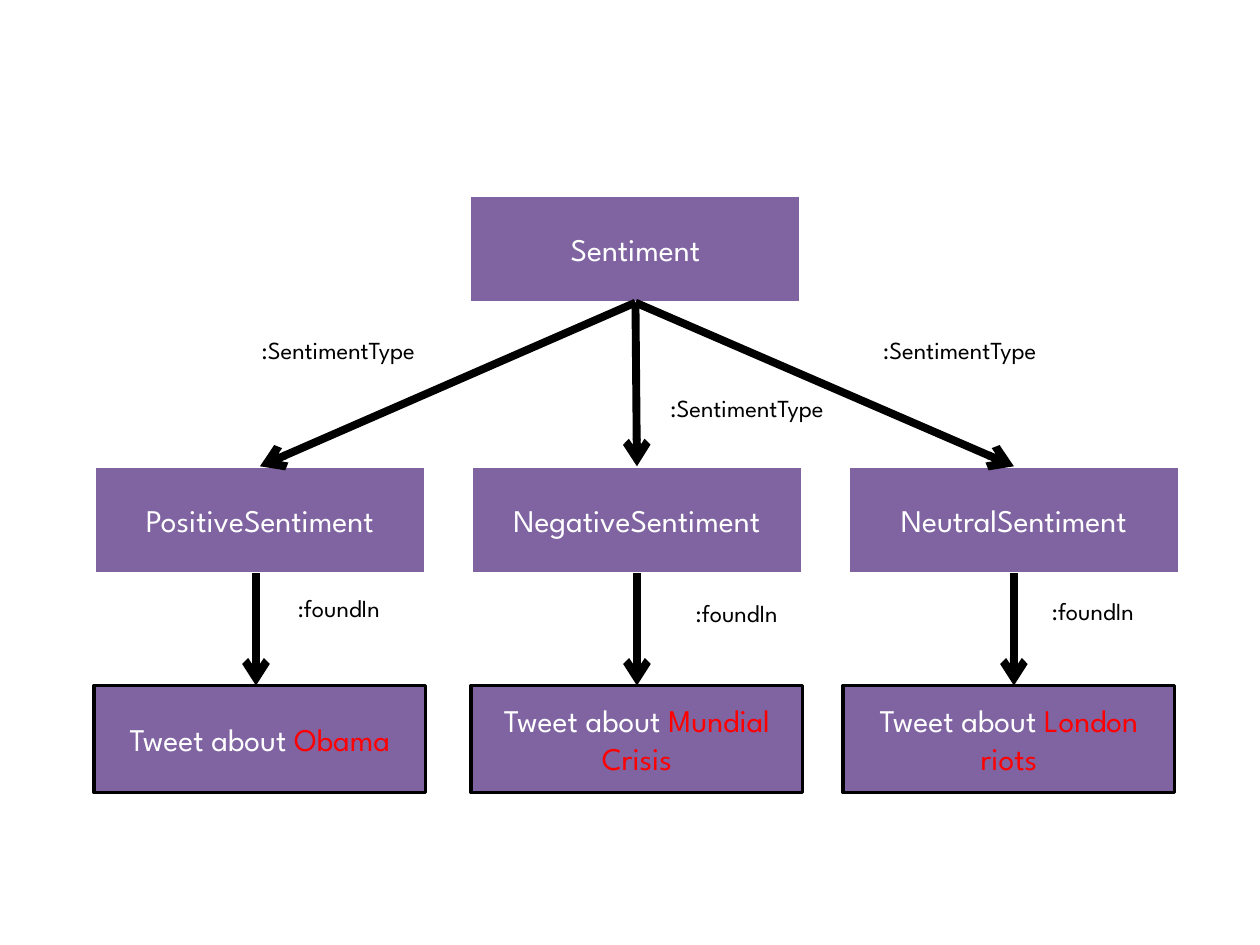
from pptx import Presentation
from pptx.dml.color import RGBColor
from pptx.enum.shapes import MSO_CONNECTOR, MSO_SHAPE
from pptx.enum.text import MSO_ANCHOR, PP_ALIGN
from pptx.oxml.ns import qn
from pptx.util import Cm, Pt
from lxml import etree

RECT = MSO_SHAPE.RECTANGLE
LINE = MSO_CONNECTOR.STRAIGHT
MIDDLE = MSO_ANCHOR.MIDDLE
CENTER = PP_ALIGN.CENTER

FONT = "League Spartan"
COLORS = {"box": "8064A2", "white": "FFFFFF", "black": "000000", "red": "FF0000"}

# Grid in cm
BOX_W, BOX_H = 6.68, 2.16
LEFT, STEP = 1.9, 7.6
ROOT_X, ROOT_Y = 9.47, 3.94
TYPE_Y = 9.4
TWEET_DY = 4.42
LABEL_H = 0.74

# Kind, topic, tweet shift, type label offset, arrow offset, found label offset
COLUMNS = [
    ("PositiveSentiment", "Obama", 0, (2.75, -2.72), 3.26, (3.48, 2.49)),
    ("NegativeSentiment", "Mundial Crisis", 0, (3.39, -1.55), 3.34, (3.9, 2.59)),
    ("NeutralSentiment", "London riots", -0.1, (0.08, -2.72), 3.34, (3.48, 2.54)),
]


def color(name):
    return RGBColor.from_string(COLORS[name])


def write(shape, *parts, size=18, tint="white", accent="red"):
    """Write one centred paragraph; parts after the first take the accent."""
    frame = shape.text_frame
    frame.word_wrap = True
    frame.vertical_anchor = MIDDLE
    para = frame.paragraphs[0]
    para.alignment = CENTER
    for i, part in enumerate(parts):
        run = para.add_run()
        run.text = part
        run.font.name = FONT
        run.font.size = Pt(size)
        run.font.color.rgb = color(accent if i else tint)


def add_box(slide, x, y, *parts, edge="white"):
    box = slide.shapes.add_shape(RECT, Cm(x), Cm(y), Cm(BOX_W), Cm(BOX_H))
    box.shadow.inherit = False
    box.fill.solid()
    box.fill.fore_color.rgb = color("box")
    box.line.color.rgb = color(edge)
    box.line.width = Pt(2)
    write(box, *parts)


def add_label(slide, x, y, w, text):
    label = slide.shapes.add_textbox(Cm(x), Cm(y), Cm(w), Cm(LABEL_H))
    write(label, text, size=14, tint="black")


def add_arrow(slide, x1, y1, x2, y2):
    arrow = slide.shapes.add_connector(LINE, Cm(x1), Cm(y1), Cm(x2), Cm(y2))
    arrow.line.color.rgb = color("black")
    arrow.line.width = Pt(4.5)
    etree.SubElement(arrow.line._get_or_add_ln(), qn("a:tailEnd"), type="arrow")
    etree.SubElement(arrow._element.spPr, qn("a:effectLst"))


def add_column(slide, x, y, kind, topic, shift, type_at, stem, found_at):
    """Place a sentiment type, its tweet and the arrows leading to them."""
    # Boxes
    add_box(slide, x, y, kind)
    add_box(slide, x + shift, y + TWEET_DY, "Tweet about ", topic, edge="black")
    # Arrows
    add_arrow(slide, ROOT_X + BOX_W / 2, ROOT_Y + BOX_H, x + BOX_W / 2, y)
    add_arrow(slide, x + stem, y + BOX_H, x + stem, y + TWEET_DY)
    # Labels
    add_label(slide, x + type_at[0], y + type_at[1], 4.34, ":SentimentType")
    add_label(slide, x + found_at[0], y + found_at[1], 2.9, ":foundIn")


def main():
    deck = Presentation()
    deck.slide_width, deck.slide_height = Cm(25.4), Cm(19.05)
    slide = deck.slides.add_slide(deck.slide_layouts[6])
    # Root
    add_box(slide, ROOT_X, ROOT_Y, "Sentiment")
    # Sentiment types with their tweets
    for i, column in enumerate(COLUMNS):
        add_column(slide, LEFT + i * STEP, TYPE_Y, *column)
    deck.save("out.pptx")


if __name__ == "__main__":
    main()
